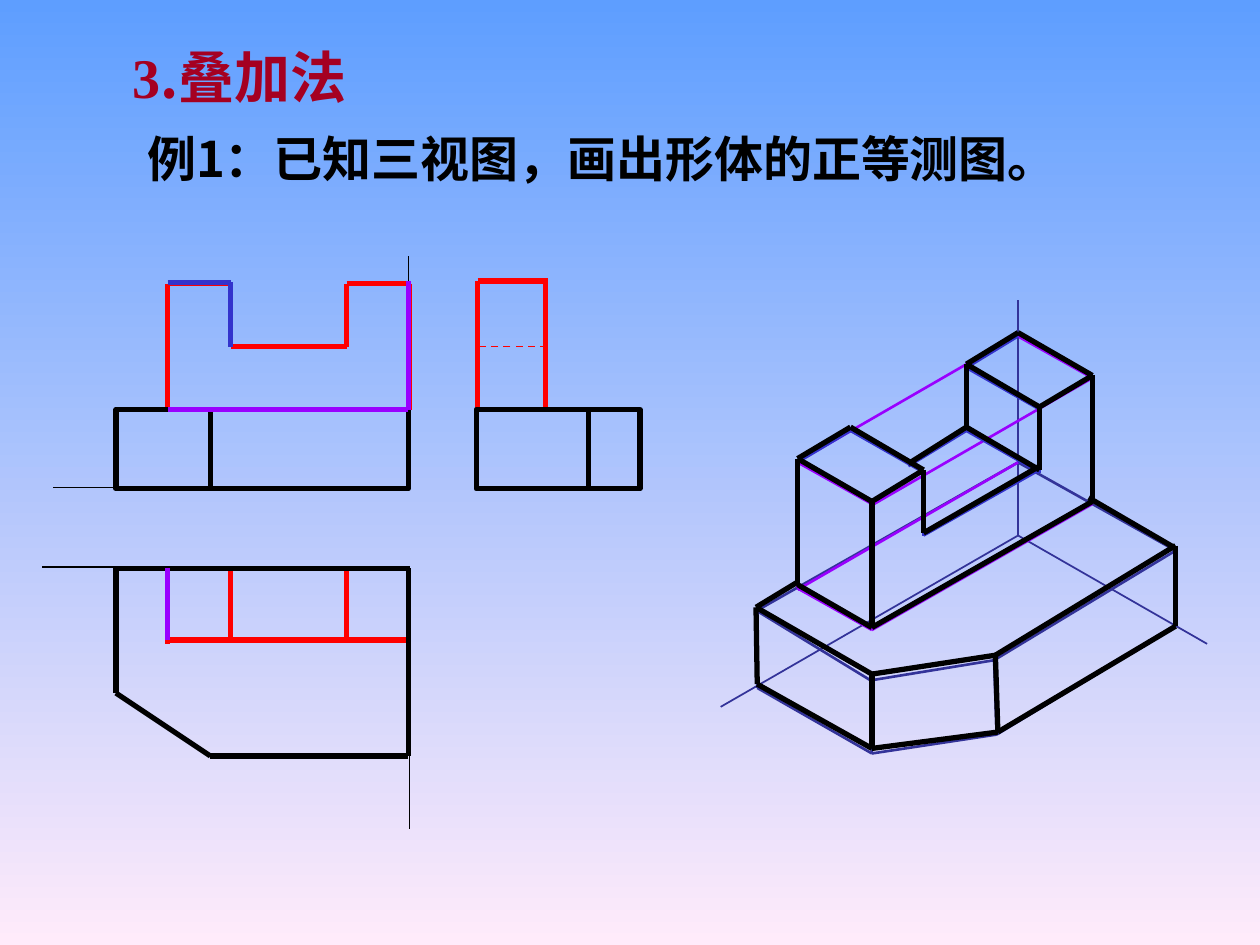
from itertools import pairwise

from lxml import etree
from pptx import Presentation
from pptx import util as u
from pptx.dml.color import RGBColor
from pptx.enum import dml, shapes, text
from pptx.oxml import ns

BLACK = RGBColor(0x00, 0x00, 0x00)
RED = RGBColor(0xFF, 0x00, 0x00)
PURPLE = RGBColor(0x99, 0x00, 0xFF)
BLUE = RGBColor(0x33, 0x33, 0xCC)
INDIGO = RGBColor(0x33, 0x33, 0x99)
CRIMSON = RGBColor(0xA5, 0x00, 0x21)
SKY = RGBColor(0x5E, 0x9E, 0xFF)
PINK = RGBColor(0xFF, 0xEB, 0xFA)
HAN, ROMAN = "Noto Sans CJK SC", "Times New Roman"

THICK, MEDIUM, THIN, HAIR = 3, 1.5, 1, 0.75
LIFT = -0.3

BLOCK = [
    [(76, 44), (76, 56), (83, 60), (104, 48), (104, 36)],
    [(83, 60), (83, 48)],
    [(76, 44), (83, 48)],
]
NOTCH = [
    [(76, 44), (81, 41), (88, 45), (88, 51), (99, 44.7)],
    [(97, 32), (92, 35), (92, 41), (86.5, 44.4)],
    [(92, 35), (99, 39), (99, 45), (92, 41)],
]
BASE_DRAFT = [(72.1, 58.2), (82.9, 64.8), (94.7, 62.9), (111.9, 52.4),
              (112, 59.6), (94.9, 69.9), (83, 71.7), (72.1, 65.5)]
BASE_FINAL = [(72, 57.8), (83.1, 64.2), (94.8, 62.4), (112, 52),
              (112, 59.6), (95, 69.7), (83.1, 71.3), (72.1, 65.2)]


def grid(units):
    """Turn drawing-grid units, twelve to the inch, into a length."""
    return u.Inches(round(units / 12, 2))


def trace(group, chains, color, width, dy=0, dash=None):
    """Draw every chain of grid points as straight lines."""
    for chain in chains:
        for (x1, y1), (x2, y2) in pairwise(chain):
            edge = group.shapes.add_connector(
                shapes.MSO_CONNECTOR.STRAIGHT,
                grid(x1), grid(y1 + dy), grid(x2), grid(y2 + dy))
            edge.line.color.rgb = color
            edge.line.width = u.Pt(width)
            if dash:
                edge.line.dash_style = dash
            etree.SubElement(edge._element.spPr, ns.qn("a:effectLst"))


def outline(group, left, top, width, height):
    """Draw an unfilled black rectangle in grid units."""
    box = group.shapes.add_shape(shapes.MSO_SHAPE.RECTANGLE,
                                 *map(grid, (left, top, width, height)))
    box.shadow.inherit = False
    box.fill.background()
    box.line.color.rgb = BLACK
    box.line.width = u.Pt(THICK)


def base_edges(corners):
    """Return the outline and the two inner uprights of the base plate."""
    return [corners + corners[:1],
            [corners[1], corners[6]], [corners[2], corners[5]]]


def format_run(run, size, color, latin):
    """Set a bold run's size, colour and fonts."""
    run.font.size = u.Pt(size)
    run.font.bold = True
    run.font.color.rgb = color
    run.font.name = latin
    east = etree.SubElement(run._r.get_or_add_rPr(), ns.qn("a:ea"))
    east.set("typeface", HAN)


def paint_background(slide):
    """Fill the slide with a vertical gradient."""
    fill = slide.background.fill
    fill.gradient()
    fill.gradient_angle = 270
    for stop, color, position in zip(fill.gradient_stops, (SKY, PINK), (0, 1)):
        stop.color.rgb = color
        stop.position = position


def add_heading(slide):
    """Place the method title and the exercise line."""
    title = slide.shapes.title
    title.left, title.top, title.width, title.height = map(
        u.Inches, (0.65, 0.27, 2.5, 0.67))
    frame = title.text_frame
    frame.auto_size = text.MSO_AUTO_SIZE.NONE
    frame.vertical_anchor = text.MSO_ANCHOR.MIDDLE
    heading = frame.paragraphs[0]
    heading.alignment = text.PP_ALIGN.CENTER
    for part, font in (("3", ROMAN), (".", HAN), ("叠加法", ROMAN)):
        run = heading.add_run()
        run.text = part
        format_run(run, 32, CRIMSON, font)

    exercise = slide.shapes.add_textbox(
        *map(u.Inches, (1.07, 0.97, 7.64, 0.57))).text_frame
    exercise.word_wrap = True
    exercise.vertical_anchor = text.MSO_ANCHOR.MIDDLE
    exercise.text = "例1：已知三视图，画出形体的正等测图。"
    format_run(exercise.paragraphs[0].runs[0], 28, BLACK, HAN)


def draw_draft(slide):
    """Draw the isometric axes and construction lines of the base."""
    draft = slide.shapes.add_group_shape()
    axes = [[(97, 51), end] for end in ((97, 28.5), (68.6, 67.3), (115, 61.3))]
    trace(draft, axes, INDIGO, THIN)
    trace(draft, [[(72, 58.2), (97, 44), (112, 52.4)]], INDIGO, MEDIUM)
    trace(draft, base_edges(BASE_DRAFT), INDIGO, MEDIUM)


def draw_block_views(slide):
    """Draw the upper block in the three views."""
    views = slide.shapes.add_group_shape()
    front = [(16, 39), (16, 27), (22, 27), (22, 33),
             (33, 33), (33, 27), (39, 27), (39, 39)]
    plan = [[(16, 54), (16, 61.3)], [(16, 61), (39, 61)],
            [(22, 54), (22, 61)], [(33, 54), (33, 61)]]
    side = [[(45.5, 39), (45.5, 26.8), (52.2, 26.8)], [(52, 27), (52, 39)]]
    trace(views, [front, *plan, *side], RED, THICK)
    trace(views, [[(52.1, 33), (45.2, 33)]], RED, THIN,
          dash=dml.MSO_LINE.DASH)


def draw_block_construction(slide):
    """Draw the isometric box of the block and the notch cut from it."""
    hidden = [[(97, 44), (76, 56.2)], [(83, 48.1), (104, 36)],
              [(97, 32), (104, 36)], [(75.8, 44), (96.8, 31.9)]]
    trace(slide, hidden + BLOCK, PURPLE, MEDIUM)
    trace(slide, NOTCH, BLUE, MEDIUM)


def draw_base_views(slide):
    """Draw the base plate and the axes in the three views."""
    views = slide.shapes.add_group_shape()
    axes = [[(39, 54), (39, 79)], [(38.9, 46.4), (38.9, 24.4)],
            [(39.1, 46.4), (5, 46.4)], [(39, 54), (4, 54)]]
    trace(views, axes, BLACK, HAIR)
    plan = [(11, 54.1), (38.9, 54.1), (38.9, 72), (20, 72), (11, 66), (11, 54.1)]
    trace(views, [plan], BLACK, THICK)
    for left, width, bevel in ((11, 27.9, 20), (45.4, 15.6, 56)):
        outline(views, left, 39, width, 7.6)
        trace(views, [[(bevel, 46.6), (bevel, 39)]], BLACK, THICK)


def draw_measures(slide):
    """Mark the measured edges on the views."""
    trace(slide, [[(38.9, 26.8), (38.9, 39), (16, 39)],
                  [(16, 54.1), (16, 61)]], PURPLE, THICK)
    trace(slide, [[(16, 26.9), (22, 26.9), (22, 33)]], BLUE, THICK)


def draw_solid(slide):
    """Draw the finished isometric solid."""
    solid = slide.shapes.add_group_shape()
    top = [[(97, 32), (104, 36)], [(83, 48), (88, 45)], [(99, 39), (104, 36)]]
    trace(solid, BLOCK + NOTCH + top, BLACK, THICK, LIFT)
    joints = [[(72, 57.8), (76, 55.4)], [(111.7, 52.1), (103.7, 47.4)]]
    trace(solid, base_edges(BASE_FINAL) + joints, BLACK, THICK)


def main():
    """Build the slide and save it."""
    deck = Presentation()
    deck.slide_width, deck.slide_height = u.Inches(10), u.Inches(7.5)
    slide = deck.slides.add_slide(deck.slide_layouts[5])
    paint_background(slide)
    draw_draft(slide)
    draw_block_views(slide)
    draw_block_construction(slide)
    draw_base_views(slide)
    add_heading(slide)
    draw_measures(slide)
    draw_solid(slide)
    deck.save("out.pptx")


if __name__ == "__main__":
    main()
